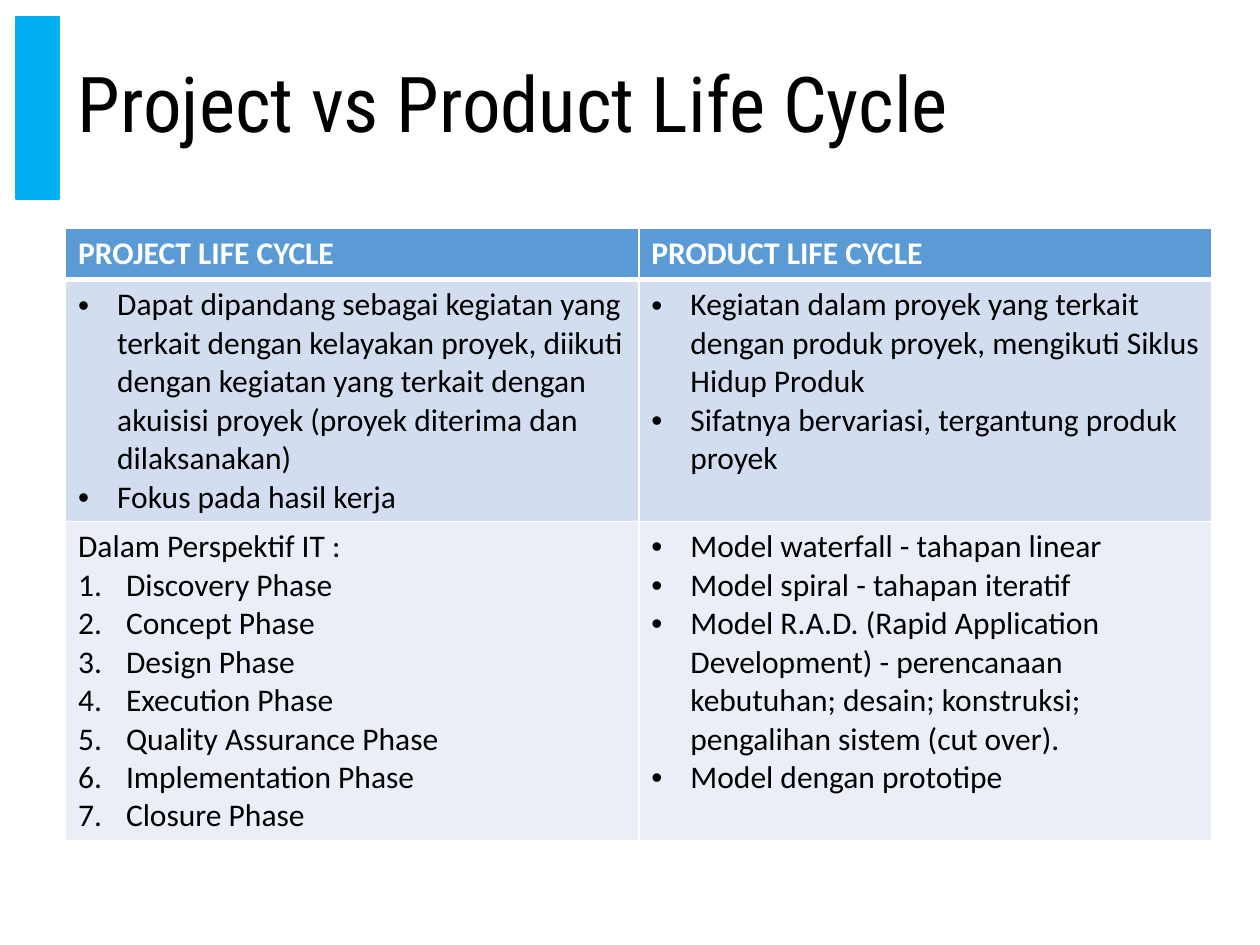
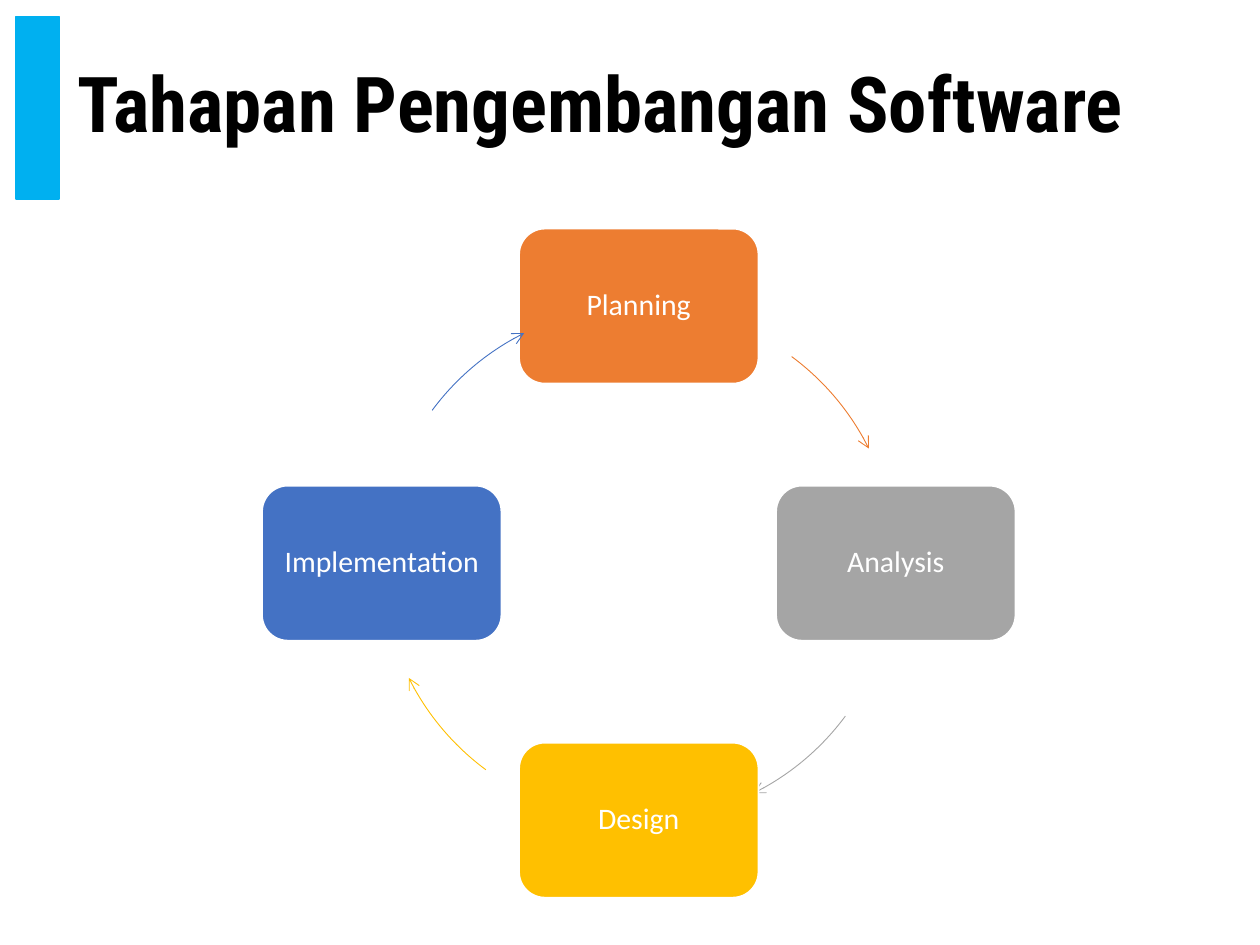
import pptx
import pptx.util
import pptx.dml.color
import pptx.enum.shapes
import pptx.enum.text
import pptx.oxml.ns
import lxml.etree

Inches = pptx.util.Inches
Pt = pptx.util.Pt
RGBColor = pptx.dml.color.RGBColor
qn = pptx.oxml.ns.qn
MSO_SHAPE = pptx.enum.shapes.MSO_SHAPE
MIDDLE = pptx.enum.text.MSO_ANCHOR.MIDDLE

BLACK = RGBColor(0x00, 0x00, 0x00)
WHITE = RGBColor(0xFF, 0xFF, 0xFF)
BAND_BLUE = RGBColor(0x00, 0xB0, 0xF0)
HEADER_BLUE = RGBColor(0x5B, 0x9B, 0xD5)
ROW_BLUE = RGBColor(0xD2, 0xDE, 0xEF)
ROW_PALE = RGBColor(0xEA, 0xEF, 0xF7)
ORANGE = RGBColor(0xED, 0x7D, 0x31)
GRAY = RGBColor(0xA5, 0xA5, 0xA5)
GOLD = RGBColor(0xFF, 0xC0, 0x00)
BLUE = RGBColor(0x44, 0x72, 0xC4)

TITLE_FONT = "Roboto Condensed"
BODY_FONT = "Calibri"
CONTENT_LEFT, CONTENT_WIDTH = 0.52, 9.1
BAND_TOP, BAND_HEIGHT = 0.13, 1.45


def set_text(paragraph, text, size, color, font=BODY_FONT, bold=False):
    paragraph.text = text
    paragraph.font.name = font
    paragraph.font.size = Pt(size)
    paragraph.font.bold = bold
    paragraph.font.color.rgb = color


def add_titled_slide(title, bold):
    slide = presentation.slides.add_slide(presentation.slide_layouts[6])
    band = slide.shapes.add_shape(
        MSO_SHAPE.RECTANGLE, Inches(0.13), Inches(BAND_TOP), Inches(0.34), Inches(BAND_HEIGHT))
    band.shadow.inherit = False
    band.fill.solid()
    band.fill.fore_color.rgb = BAND_BLUE
    band.line.color.rgb = BAND_BLUE
    band.line.width = Pt(1)
    title_box = slide.shapes.add_textbox(
        Inches(CONTENT_LEFT), Inches(BAND_TOP), Inches(CONTENT_WIDTH), Inches(BAND_HEIGHT))
    title_box.text_frame.word_wrap = True
    title_box.text_frame.vertical_anchor = MIDDLE
    paragraph = title_box.text_frame.paragraphs[0]
    paragraph.line_spacing = 0.9
    set_text(paragraph, title, 44, BLACK, TITLE_FONT, bold)
    return slide


presentation = pptx.Presentation()
presentation.slide_width = Inches(10)
presentation.slide_height = Inches(7.5)

slide = add_titled_slide("Project vs Product Life Cycle", False)

LIST_STYLES = {
    "bullet": (0.31, "a:buChar", {"char": "•"}),
    "number": (0.38, "a:buAutoNum", {"type": "arabicPeriod"}),
}
comparison_rows = [
    (0.41, HEADER_BLUE, [
        [("plain", "PROJECT LIFE CYCLE")],
        [("plain", "PRODUCT LIFE CYCLE")],
    ]),
    (1.92, ROW_BLUE, [
        [("bullet", "Dapat dipandang sebagai kegiatan yang terkait dengan kelayakan proyek, "
                    "diikuti dengan kegiatan yang terkait dengan akuisisi proyek "
                    "(proyek diterima dan dilaksanakan)"),
         ("bullet", "Fokus pada hasil kerja")],
        [("bullet", "Kegiatan dalam proyek yang terkait dengan produk proyek, "
                    "mengikuti Siklus Hidup Produk"),
         ("bullet", "Sifatnya bervariasi, tergantung produk proyek")],
    ]),
    (2.53, ROW_PALE, [
        [("plain", "Dalam Perspektif IT :"),
         ("number", "Discovery Phase"),
         ("number", "Concept Phase"),
         ("number", "Design Phase"),
         ("number", "Execution Phase"),
         ("number", "Quality Assurance Phase"),
         ("number", "Implementation Phase"),
         ("number", "Closure Phase")],
        [("bullet", "Model waterfall - tahapan linear"),
         ("bullet", "Model spiral - tahapan iteratif"),
         ("bullet", "Model R.A.D. (Rapid Application Development) - perencanaan kebutuhan; "
                    "desain; konstruksi; pengalihan sistem (cut over)."),
         ("bullet", "Model dengan prototipe")],
    ]),
]

table = slide.shapes.add_table(
    len(comparison_rows), 2, Inches(CONTENT_LEFT), Inches(1.81), Inches(CONTENT_WIDTH),
    Inches(sum(height for height, fill, cells in comparison_rows))).table
table.horz_banding = False

for row_index, (height, fill_color, cells) in enumerate(comparison_rows):
    table.rows[row_index].height = Inches(height)
    is_header = row_index == 0
    border_widths = {"lnL": 1, "lnR": 1, "lnT": 3 if row_index == 1 else 1, "lnB": 3 if is_header else 1}
    for column_index, items in enumerate(cells):
        cell = table.cell(row_index, column_index)
        properties = cell._tc.get_or_add_tcPr()
        for side, width in border_widths.items():
            border = lxml.etree.SubElement(properties, qn(f"a:{side}"), w=str(Pt(width)))
            border_fill = lxml.etree.SubElement(border, qn("a:solidFill"))
            lxml.etree.SubElement(border_fill, qn("a:srgbClr"), val=str(WHITE))
        cell.fill.solid()
        cell.fill.fore_color.rgb = fill_color
        for item_index, (style, text) in enumerate(items):
            frame = cell.text_frame
            paragraph = frame.add_paragraph() if item_index else frame.paragraphs[0]
            if style in LIST_STYLES:
                indent, tag, attributes = LIST_STYLES[style]
                paragraph_properties = paragraph._p.get_or_add_pPr()
                paragraph_properties.set("marL", str(Inches(indent)))
                paragraph_properties.set("indent", str(-Inches(indent)))
                if style == "bullet":
                    lxml.etree.SubElement(paragraph_properties, qn("a:buFont"), typeface="Arial")
                lxml.etree.SubElement(paragraph_properties, qn(tag), attributes)
            set_text(paragraph, text, 18, WHITE if is_header else BLACK, bold=is_header)

slide = add_titled_slide("Tahapan Pengembangan Software", True)

CENTER_X, CENTER_Y, RADIUS = 5.07, 4.47, 2.04
STAGE_WIDTH, STAGE_HEIGHT = 1.9, 1.23
ARC_START, ARC_END = 306.5, 333.5
DEGREE = 0.6
stages = [
    ("Planning", ORANGE, 0, -1),
    ("Analysis", GRAY, 1, 0),
    ("Design", GOLD, 0, 1),
    ("Implementation", BLUE, -1, 0),
]

for index, (name, color, step_x, step_y) in enumerate(stages):
    stage = slide.shapes.add_shape(
        MSO_SHAPE.ROUNDED_RECTANGLE,
        Inches(CENTER_X + step_x * RADIUS - STAGE_WIDTH / 2),
        Inches(CENTER_Y + step_y * RADIUS - STAGE_HEIGHT / 2),
        Inches(STAGE_WIDTH), Inches(STAGE_HEIGHT))
    stage.shadow.inherit = False
    stage.fill.solid()
    stage.fill.fore_color.rgb = color
    stage.line.color.rgb = WHITE
    stage.line.width = Pt(1)
    frame = stage.text_frame
    frame.word_wrap = True
    frame.vertical_anchor = MIDDLE
    frame.margin_left = frame.margin_right = frame.margin_top = frame.margin_bottom = Inches(0.07)
    paragraph = frame.paragraphs[0]
    paragraph.alignment = pptx.enum.text.PP_ALIGN.CENTER
    paragraph.line_spacing = 0.9
    set_text(paragraph, name, 17, WHITE)

    arc = slide.shapes.add_shape(
        MSO_SHAPE.ARC, Inches(CENTER_X - RADIUS), Inches(CENTER_Y - RADIUS),
        Inches(2 * RADIUS), Inches(2 * RADIUS))
    arc.shadow.inherit = False
    arc.adjustments[0] = (ARC_START + 90 * index) % 360 * DEGREE
    arc.adjustments[1] = (ARC_END + 90 * index) % 360 * DEGREE
    arc.fill.background()
    arc.line.color.rgb = color
    arc.line.width = Pt(0.5)
    lxml.etree.SubElement(arc.line._get_or_add_ln(), qn("a:tailEnd"), type="arrow")

presentation.save("out.pptx")
